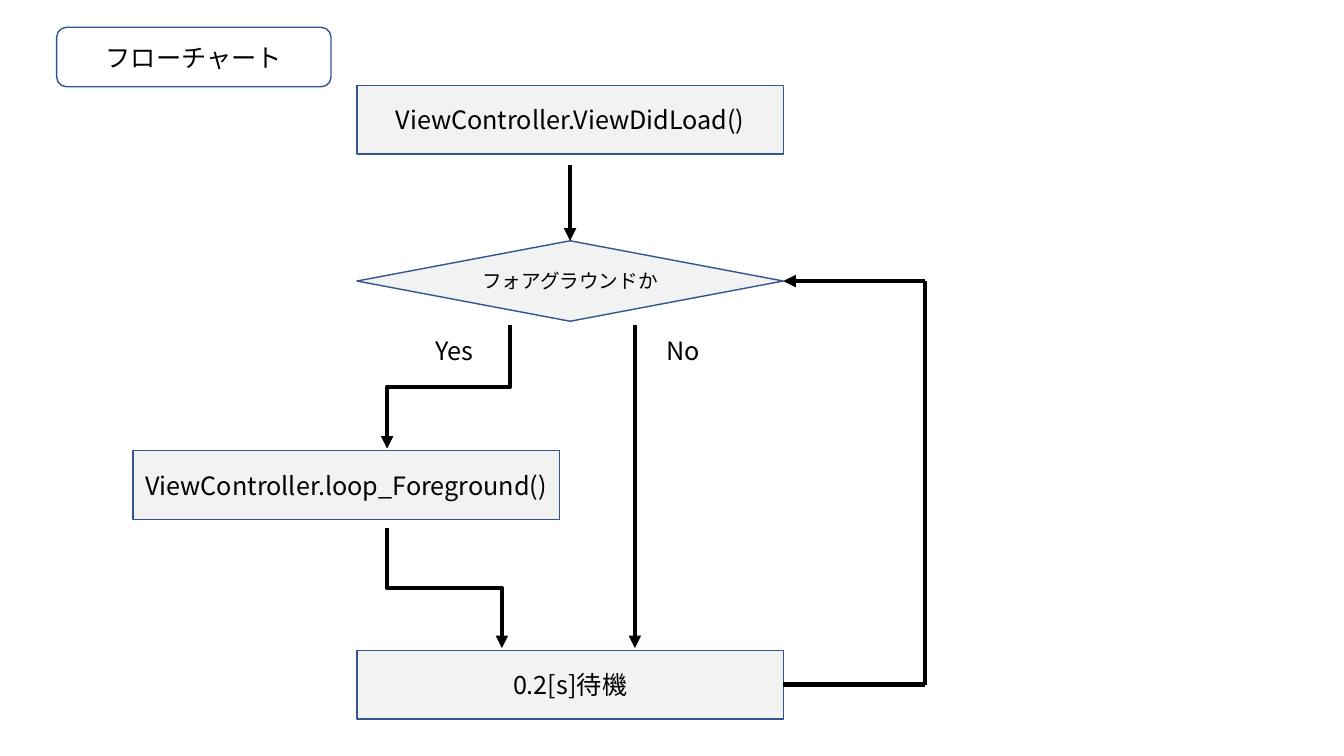
"""Build the flowchart slide of the view controller's main loop."""
from lxml import etree
from pptx import Presentation
from pptx.dml.color import RGBColor
from pptx.enum import shapes, text
from pptx.oxml import ns
from pptx.util import Pt

COLORS = {"ink": "000000", "edge": "325491", "step": "F2F2F2"}
FONT = "Noto Sans CJK JP"
STEP_W, STEP_H = 304.5, 49
MAIN_X, LOOP_X = 255, 95
MAIN_R, MID_X = MAIN_X + STEP_W, MAIN_X + STEP_W / 2
LOAD_Y, TEST_Y, LOOP_Y, WAIT_Y = 61, 172, 322, 464.5
TEST_H = 57.5
TEST_MID, WAIT_MID = TEST_Y + TEST_H / 2, WAIT_Y + STEP_H / 2
BRANCH_Y, ARRIVE_Y = 232, 463
YES_X, NO_X, LOOP_FLOW_X, JOIN_X, RETURN_X = 364.5, 453.5, 276.5, 358.5, 661


def rgb(name):
    """Return the palette colour of the given name."""
    return RGBColor.from_string(COLORS[name])


def write(tf, words, size=18, color="ink", align=None, anchor=None):
    """Put formatted words into a text frame."""
    tf.word_wrap = True
    tf.vertical_anchor = anchor
    p = tf.paragraphs[0]
    p.alignment = align
    r = p.add_run()
    r.text = words
    r.font.size = Pt(size)
    r.font.name = FONT
    r.font.color.rgb = rgb(color)
    ea = etree.SubElement(r._r.get_or_add_rPr(), ns.qn("a:ea"))
    ea.set("typeface", FONT)


class Flowchart:
    """Hold the slide and the style of its elements."""

    def __init__(self, slide, edge=1, flow=3):
        """Keep the slide and the line widths."""
        self.s, self.edge, self.flow = slide, edge, flow

    def box(self, words, x, y, w=STEP_W, h=STEP_H, kind="RECTANGLE", fill="step", size=18):
        """Add an outlined shape with centred words."""
        sp = self.s.shapes.add_shape(shapes.MSO_SHAPE[kind], Pt(x), Pt(y), Pt(w), Pt(h))
        sp.shadow.inherit = False
        if fill:
            sp.fill.solid()
            sp.fill.fore_color.rgb = rgb(fill)
        else:
            sp.fill.background()
        sp.line.color.rgb = rgb("edge")
        sp.line.width = Pt(self.edge)
        write(sp.text_frame, words, size, align=text.PP_ALIGN.CENTER,
              anchor=text.MSO_ANCHOR.MIDDLE)

    def label(self, words, x, y, w=60.5, h=29):
        """Add a branch label."""
        sp = self.s.shapes.add_textbox(Pt(x), Pt(y), Pt(w), Pt(h))
        write(sp.text_frame, words)

    def line(self, x1, y1, x2, y2, arrow=True, kind="STRAIGHT"):
        """Add a flow line, with an arrowhead unless told otherwise."""
        sp = self.s.shapes.add_connector(
            shapes.MSO_CONNECTOR[kind], Pt(x1), Pt(y1), Pt(x2), Pt(y2))
        sp.line.color.rgb = rgb("ink")
        sp.line.width = Pt(self.flow)
        if arrow:
            tail = etree.SubElement(sp.line._get_or_add_ln(), ns.qn("a:tailEnd"))
            tail.set("type", "triangle")
        etree.SubElement(sp._element.spPr, ns.qn("a:effectLst"))
        return sp

    def elbow(self, x1, y1, x2, y2):
        """Add an arrow that runs down, across and down again."""
        cx, cy = (x1 + x2) / 2, (y1 + y2) / 2
        half_w, half_h = (y2 - y1) / 2, abs(x2 - x1) / 2
        side = 1 if x2 < x1 else -1
        sp = self.line(cx - side * half_w, cy - half_h,
                       cx + side * half_w, cy + half_h, kind="ELBOW")
        angle = 90 if side == 1 else 270
        sp._element.spPr.find(ns.qn("a:xfrm")).set("rot", str(angle * 60000))


prs = Presentation()
prs.slide_width, prs.slide_height = Pt(960), Pt(540)
chart = Flowchart(prs.slides.add_slide(prs.slide_layouts[6]))

chart.box("フローチャート", 40.5, 19.5, 196, 42.5, "ROUNDED_RECTANGLE", fill=None)
chart.box("ViewController.ViewDidLoad()", MAIN_X, LOAD_Y)
chart.box("ViewController.loop_Foreground()", LOOP_X, LOOP_Y)
chart.box("フォアグラウンドか", MAIN_X, TEST_Y, h=TEST_H, kind="FLOWCHART_DECISION", size=14)
chart.box("0.2[s]待機", MAIN_X, WAIT_Y)

chart.elbow(YES_X, BRANCH_Y, LOOP_FLOW_X, 320.5)
chart.line(MID_X, 118, MID_X, TEST_Y)
chart.line(NO_X, BRANCH_Y, NO_X, ARRIVE_Y)
chart.elbow(LOOP_FLOW_X, 377, JOIN_X, ARRIVE_Y)
chart.line(RETURN_X, TEST_MID, MAIN_R, TEST_MID)
chart.line(RETURN_X, TEST_MID, RETURN_X, WAIT_MID, arrow=False)
chart.line(MAIN_R, WAIT_MID, RETURN_X, WAIT_MID, arrow=False)

for words, x in (("Yes", 304), ("No", 469)):
    chart.label(words, x, 236)

prs.save("out.pptx")
